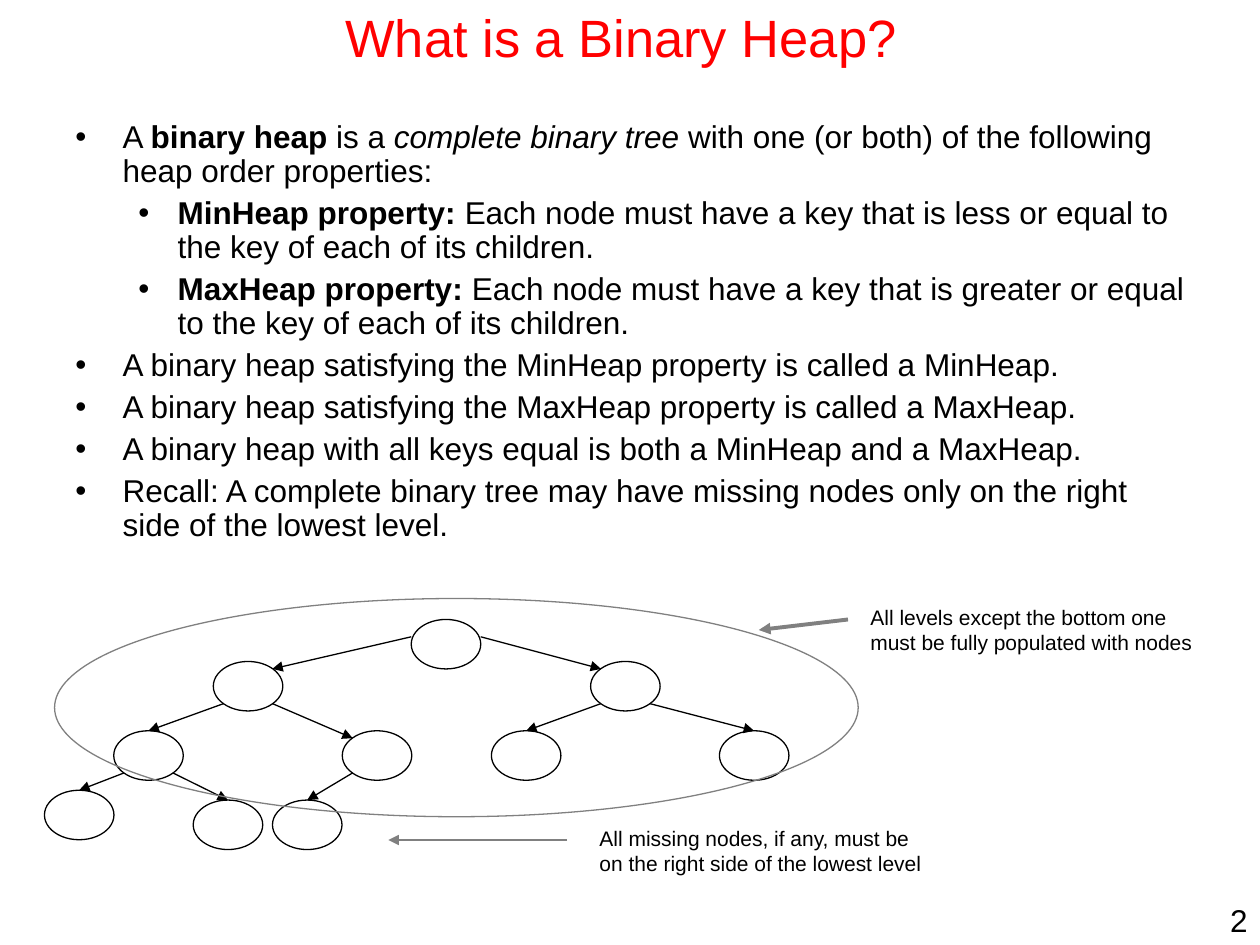
from dataclasses import dataclass

from lxml.etree import SubElement
from pptx import Presentation
from pptx.dml.color import RGBColor
from pptx.enum.shapes import MSO_CONNECTOR as CONNECTOR, MSO_SHAPE as SHAPE
from pptx.enum.text import MSO_ANCHOR as ANCHOR, PP_ALIGN as ALIGN
from pptx.oxml.ns import qn
from pptx.util import Pt


@dataclass(frozen=True)
class Theme:
    font: str = "Arial"
    ink: RGBColor = RGBColor(0, 0, 0)
    accent: RGBColor = RGBColor(255, 0, 0)
    muted: RGBColor = RGBColor(128, 128, 128)
    title_size: float = 30
    body_size: float = 18
    note_size: float = 12
    thin: float = 0.75
    thick: float = 2.25


class SlideBuilder:
    def __init__(self, slide, theme):
        self.slide = slide
        self.theme = theme

    def box(self, left, top, width, height):
        shape = self.slide.shapes.add_textbox(Pt(left), Pt(top), Pt(width), Pt(height))
        shape.text_frame.word_wrap = True
        return shape.text_frame

    def style_run(self, run, size, color):
        run.font.name = self.theme.font
        run.font.size = Pt(size)
        run.font.color.rgb = color

    def text(self, left, top, width, height, words, size, color=None,
             align=ALIGN.LEFT, anchor=ANCHOR.TOP):
        text_frame = self.box(left, top, width, height)
        text_frame.text = words
        text_frame.vertical_anchor = anchor
        paragraph = text_frame.paragraphs[0]
        paragraph.alignment = align
        self.style_run(paragraph.runs[0], size, color or self.theme.ink)

    def bullets(self, left, top, width, height, items):
        text_frame = self.box(left, top, width, height)
        for index, (level, parts) in enumerate(items):
            paragraph = text_frame.add_paragraph() if index else text_frame.paragraphs[0]
            self.add_bullet(paragraph, level)
            paragraph.line_spacing = 0.9
            if index:
                paragraph.space_before = Pt(4.5)
            for words, emphasis in parts:
                run = paragraph.add_run()
                run.text = words
                self.style_run(run, self.theme.body_size, self.theme.ink)
                run.font.bold = emphasis == "bold"
                run.font.italic = emphasis == "italic"

    def add_bullet(self, paragraph, level):
        margin, hanging = ((27, 27), (58.5, 22.5))[level]
        paragraph.level = level
        properties = paragraph._p.get_or_add_pPr()
        properties.set("marL", str(Pt(margin)))
        properties.set("indent", str(-Pt(hanging)))
        bullet_color = SubElement(properties, qn("a:buClr"))
        SubElement(bullet_color, qn("a:srgbClr"), val=str(self.theme.ink))
        SubElement(properties, qn("a:buFont"), typeface=self.theme.font)
        SubElement(properties, qn("a:buChar"), char="•")

    def ellipse(self, left, top, width, height, color):
        shape = self.slide.shapes.add_shape(
            SHAPE.OVAL, Pt(left), Pt(top), Pt(width), Pt(height))
        shape.shadow.inherit = False
        shape.fill.background()
        shape.line.color.rgb = color
        shape.line.width = Pt(self.theme.thin)

    def arrow(self, start, end, color, weight):
        points = [Pt(value) for value in (*start, *end)]
        connector = self.slide.shapes.add_connector(CONNECTOR.STRAIGHT, *points)
        connector.line.color.rgb = color
        connector.line.width = Pt(weight)
        properties = connector._element.spPr
        SubElement(properties.find(qn("a:ln")), qn("a:tailEnd"), type="triangle")
        SubElement(properties, qn("a:effectLst"))


BULLETS = [
    (0, [("A ", ""), ("binary heap", "bold"), (" is a ", ""),
         ("complete binary tree", "italic"),
         (" with one (or both) of the following heap order properties:", "")]),
    (1, [("MinHeap property:", "bold"),
         (" Each node must have a key that is less or equal to the key of each "
          "of its children.", "")]),
    (1, [("MaxHeap property:", "bold"),
         (" Each node must have a key that is greater or equal to the key of each "
          "of its children.", "")]),
    (0, [("A binary heap satisfying the MinHeap property is called a MinHeap.", "")]),
    (0, [("A binary heap satisfying the MaxHeap property is called a MaxHeap.", "")]),
    (0, [("A binary heap with all keys equal is both a MinHeap and a MaxHeap.", "")]),
    (0, [("Recall: A complete binary tree may have missing nodes only on the right "
          "side of the lowest level.", "")]),
]

NODE_WIDTH, NODE_HEIGHT = 39.7, 28.3
NODES = [
    (235, 354),
    (121.9, 378), (337.5, 378),
    (65, 417.6), (195.6, 417.6), (280.8, 417.6), (411.1, 417.6),
    (25.4, 451.6), (110.4, 457.2), (155.7, 457.2),
]

TOP = (0.5, 0)
UPPER_LEFT, UPPER_RIGHT = (0.15, 0.15), (0.85, 0.15)
LOWER_LEFT, LOWER_RIGHT = (0.15, 0.85), (0.85, 0.85)
ROOT_LEFT, ROOT_RIGHT = (0, 0.35), (1, 0.35)
SHOULDERS = {1: UPPER_RIGHT, 2: UPPER_LEFT, 4: UPPER_LEFT}


def node_point(node, anchor):
    left, top = NODES[node]
    return left + anchor[0] * NODE_WIDTH, top + anchor[1] * NODE_HEIGHT


def draw_tree(builder):
    theme = builder.theme
    for left, top in NODES:
        builder.ellipse(left, top, NODE_WIDTH, NODE_HEIGHT, theme.ink)
    for child in range(1, len(NODES)):
        parent = (child - 1) // 2
        sides = (LOWER_LEFT, LOWER_RIGHT) if parent else (ROOT_LEFT, ROOT_RIGHT)
        start = node_point(parent, sides[(child - 1) % 2])
        end = node_point(child, SHOULDERS.get(child, TOP))
        builder.arrow(start, end, theme.ink, theme.thin)


def main():
    presentation = Presentation()
    presentation.slide_width, presentation.slide_height = Pt(720), Pt(540)
    slide = presentation.slides.add_slide(presentation.slide_layouts[6])
    theme = Theme()
    builder = SlideBuilder(slide, theme)

    builder.text(682, 511.2, 38, 28.8, "2", theme.body_size, align=ALIGN.RIGHT)
    builder.text(31, 0, 648, 42, "What is a Binary Heap?", theme.title_size,
                 theme.accent, ALIGN.CENTER, ANCHOR.MIDDLE)
    builder.bullets(36, 66, 648, 249, BULLETS)

    draw_tree(builder)
    builder.ellipse(31.2, 342, 459.2, 124.7, theme.muted)

    builder.text(490.3, 342, 199, 36,
                 "All levels except the bottom one must be fully populated with nodes",
                 theme.note_size)
    builder.arrow((484.6, 354), (433.6, 360), theme.muted, theme.thick)
    builder.arrow((324, 480), (222, 480), theme.muted, theme.thin)
    builder.text(335.5, 468, 199, 36,
                 "All missing nodes, if any, must be on the right side of the lowest level",
                 theme.note_size)

    presentation.save("out.pptx")


if __name__ == "__main__":
    main()
